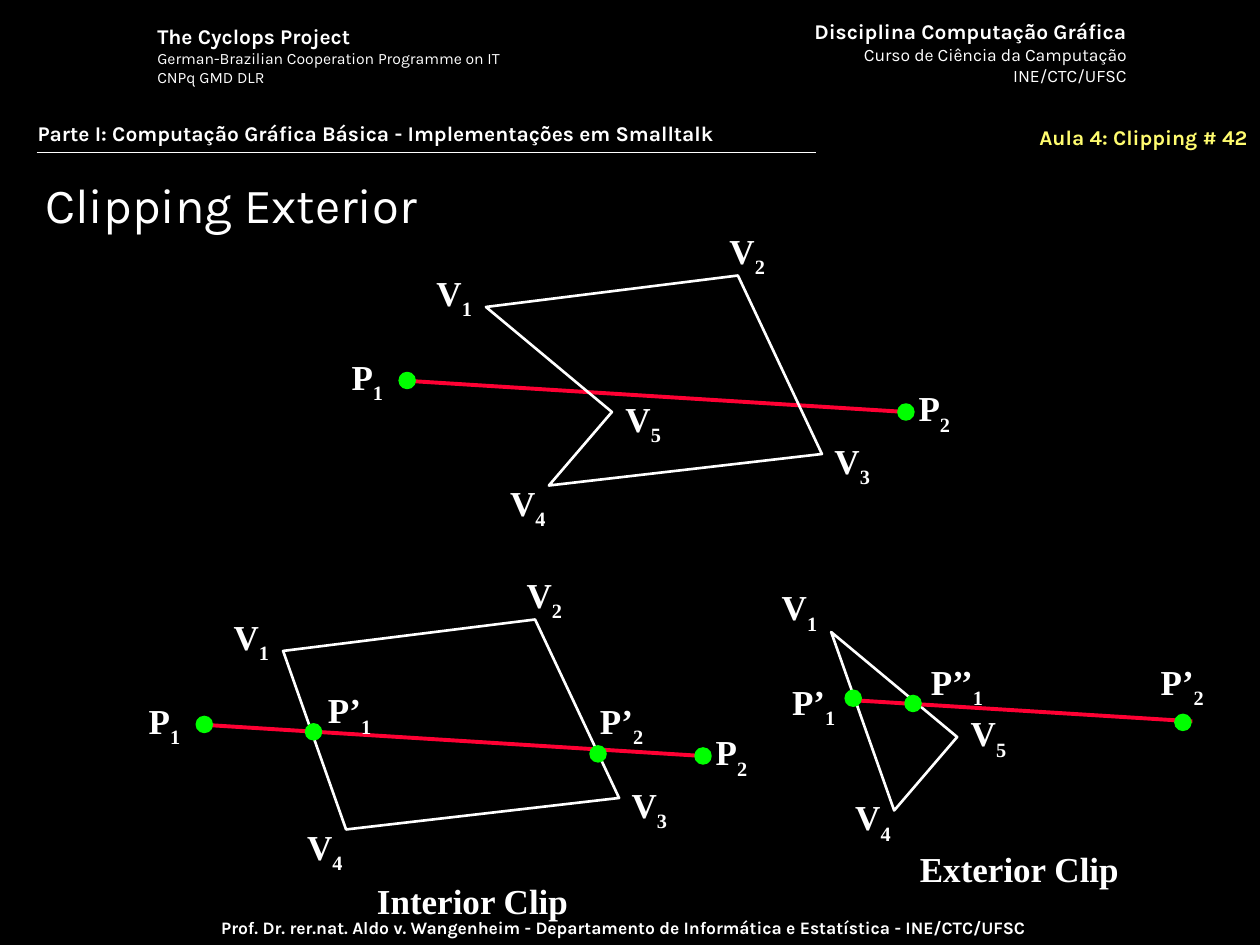
import pptx
import pptx.util
import pptx.dml.color
import pptx.enum.text
import pptx.enum.shapes
import lxml.etree

RGB = pptx.dml.color.RGBColor
BLACK = RGB(0x00, 0x00, 0x00)
WHITE = RGB(0xFF, 0xFF, 0xFF)
YELLOW = RGB(0xFF, 0xFC, 0x6F)
RED = RGB(0xFF, 0x00, 0x33)
GREEN = RGB(0x00, 0xFF, 0x00)
SANS, SERIF = "Karla", "Times New Roman"
ALIGN = pptx.enum.text.PP_ALIGN
FIT = pptx.enum.text.MSO_AUTO_SIZE
Pt = pptx.util.Pt
WIDE, HIGH = pptx.util.Inches(10), pptx.util.Inches(7.5)
CELL = pptx.util.Inches(1) / 12
DOT = 1.5
LABEL = {"V": 5.76, "P": 5.4, "P’": 6.48, "P’’": 7.56}

CORNER = {1: (14, 8), 2: (38, 5), 3: (46, 22), 4: (20, 25), 5: (26, 18)}
RAY = ((6, 15), (54, 18))
OUTER = [("V", 1, 8.1, 4), ("V", 2, 36, 0), ("V", 3, 46, 20),
         ("V", 4, 15.1, 24), ("P", 1, 0, 12), ("P", 2, 54, 15)]


def share(left, top, width, height):
    return [int(v) for v in (WIDE * left / 100, HIGH * top / 100,
                             WIDE * width / 100, HIGH * height / 100)]


def style(run, size, font, color=WHITE, bold=True):
    run.font.size = Pt(size)
    run.font.name = font
    run.font.color.rgb = color
    run.font.bold = bold


def write(shapes, box, lines, sizes, font=SANS, color=WHITE,
          align=ALIGN.LEFT, wrap=False):
    frame = shapes.add_textbox(*box).text_frame
    frame.word_wrap = wrap
    frame.auto_size = FIT.SHAPE_TO_FIT_TEXT
    frame.text = "\n".join(lines)
    for row, (para, size) in enumerate(zip(frame.paragraphs, sizes)):
        para.alignment = align
        style(para.runs[0], size, font, color, row == 0)
    return frame.paragraphs[0]


def rule(shapes, start, end, color, width):
    line = shapes.add_connector(
        pptx.enum.shapes.MSO_CONNECTOR.STRAIGHT, *start, *end)
    line.line.color.rgb = color
    line.line.width = Pt(width)
    lxml.etree.SubElement(line._element.spPr, pptx.oxml.ns.qn("a:effectLst"))


def header(slide):
    shapes = slide.shapes
    write(shapes, share(63, 1.33, 27.4, 8.53),
          ["Disciplina Computação Gráfica", "Curso de Ciência da Camputação",
           "INE/CTC/UFSC"], [12, 10, 10], align=ALIGN.RIGHT)
    write(shapes, share(11.5, 1.87, 30.5, 8),
          ["The Cyclops Project",
           "German-Brazilian Cooperation Programme on IT", "CNPq GMD DLR"],
          [12, 9, 9])
    left, top, width, _ = share(2.9, 16.13, 61.9, 0)
    rule(shapes, (left, top), (left + width, top), WHITE, 1)
    write(shapes, share(75.9, 12.53, 24.1, 4.4), ["Aula 4: Clipping # 42"],
          [12], color=YELLOW, align=ALIGN.RIGHT, wrap=True)
    write(shapes, share(2, 12.13, 95, 4),
          ["Parte I: Computação Gráfica Básica - Implementações em Smalltalk"],
          [12], wrap=True)


def footer(slide):
    write(slide.shapes, share(5.3, 96.4, 88.3, 3.6),
          ["Prof. Dr. rer.nat. Aldo v. Wangenheim - Departamento de "
           "Informática e Estatística - INE/CTC/UFSC"],
          [10], align=ALIGN.CENTER, wrap=True)


def title(slide):
    shape = slide.shapes.title
    shape.left, shape.top, shape.width, shape.height = share(
        2.6, 17.2, 94, 8.67)
    frame = shape.text_frame
    frame.text = "Clipping Exterior"
    frame.auto_size = FIT.NONE
    frame.vertical_anchor = pptx.enum.text.MSO_ANCHOR.MIDDLE
    frame.paragraphs[0].alignment = ALIGN.LEFT
    style(frame.paragraphs[0].runs[0], 28, SANS, bold=False)


def outline(shapes, points):
    pen = shapes.build_freeform(*points[0])
    pen.add_line_segments(points[1:], close=True)
    shape = pen.convert_to_shape()
    shape.shadow.inherit = False
    shape.fill.background()
    shape.line.color.rgb = WHITE
    shape.line.width = Pt(1.5)


def figure(slide, left, top, corners, ray, dots, labels, front=False):
    shapes = slide.shapes.add_group_shape().shapes

    def place(col, row):
        return (int(pptx.util.Inches(left) + col * CELL),
                int(pptx.util.Inches(top) + row * CELL))

    points = [place(*CORNER[key]) for key in corners]
    if not front:
        outline(shapes, points)
    rule(shapes, place(*ray[0]), place(*ray[1]), RED, 2.25)
    for name, sub, col, row in labels:
        box = (*place(col, row), int(LABEL[name] * CELL), int(6 * CELL))
        para = write(shapes, box, [name], [20], SERIF, align=ALIGN.CENTER)
        run = para.add_run()
        run.text = str(sub)
        style(run, 20, SERIF)
        run._r.get_or_add_rPr().set("baseline", "-30000")
    for col, row in dots:
        dot = shapes.add_shape(
            pptx.enum.shapes.MSO_SHAPE.OVAL,
            *place(col - DOT / 2, row - DOT / 2),
            int(DOT * CELL), int(DOT * CELL))
        dot.shadow.inherit = False
        dot.fill.solid()
        dot.fill.fore_color.rgb = GREEN
        dot.line.color.rgb = GREEN
        dot.line.width = Pt(1)
    if front:
        outline(shapes, points)


def main():
    deck = pptx.Presentation()
    deck.slide_width, deck.slide_height = WIDE, HIGH
    slide = deck.slides.add_slide(deck.slide_layouts[5])
    slide.background.fill.solid()
    slide.background.fill.fore_color.rgb = BLACK
    header(slide)
    footer(slide)
    title(slide)
    figure(slide, 1.08, 4.5, (1, 2, 3, 4), RAY,
           [(6.5, 15), (16.9, 15.7), (54, 18), (44, 17.8)],
           OUTER + [("P’", 1, 17.1, 11), ("P’", 2, 43, 12)])
    figure(slide, 2.69, 1.77, (1, 2, 3, 4, 5), RAY, [(6.5, 15), (54, 18)],
           OUTER + [("V", 5, 26.1, 16)], front=True)
    figure(slide, 5.43, 4.35, (4, 5, 1), ((16.3, 14.5), (48.4, 16.5)),
           [(16.1, 14.3), (47.5, 16.6), (21.8, 14.8)],
           [("V", 1, 8.1, 3), ("V", 4, 15.1, 23), ("V", 5, 26.1, 15),
            ("P’", 1, 9.1, 12), ("P’", 2, 44.2, 10.1),
            ("P’’", 1, 22.2, 10.1)])
    for text, box in (("Interior Clip", share(28.9, 92.4, 17.2, 5.87)),
                      ("Exterior Clip", share(72, 89.07, 17.8, 5.87))):
        write(slide.shapes, box, [text], [20], SERIF, align=ALIGN.CENTER)
    deck.save("out.pptx")


if __name__ == "__main__":
    main()
